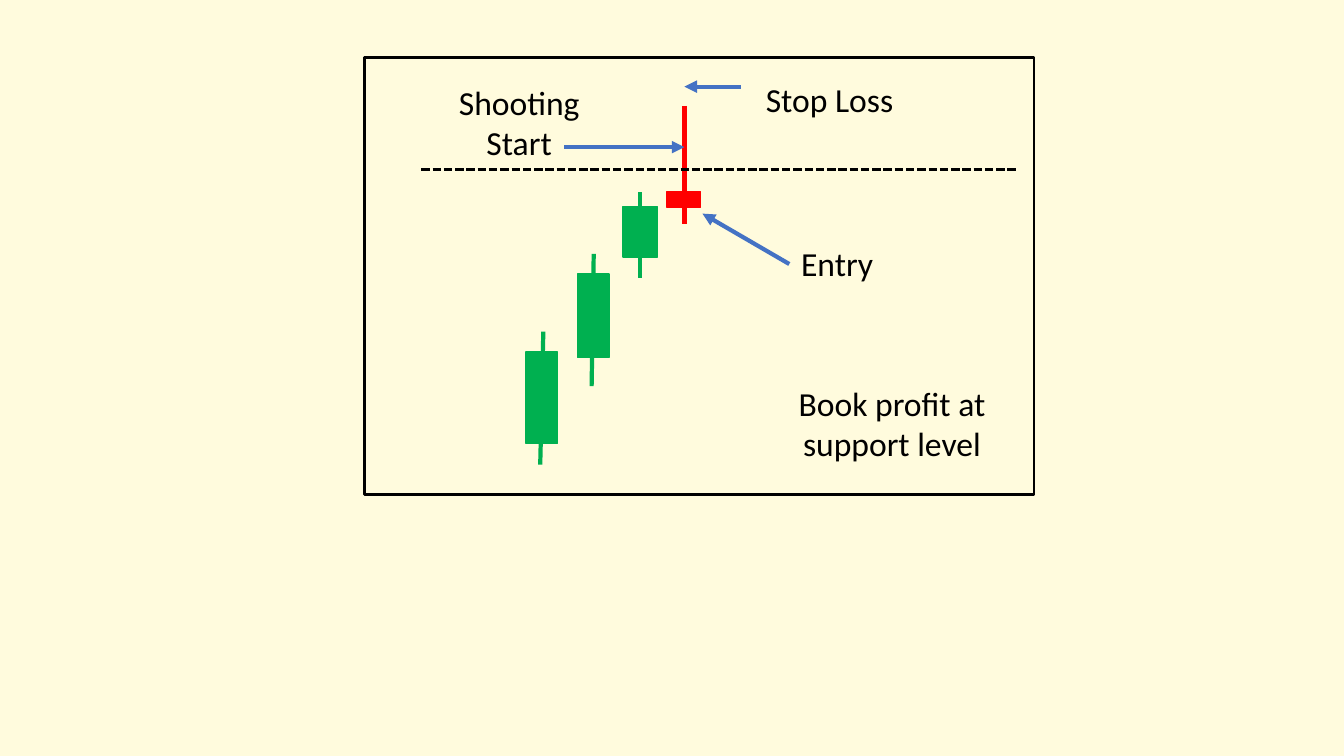
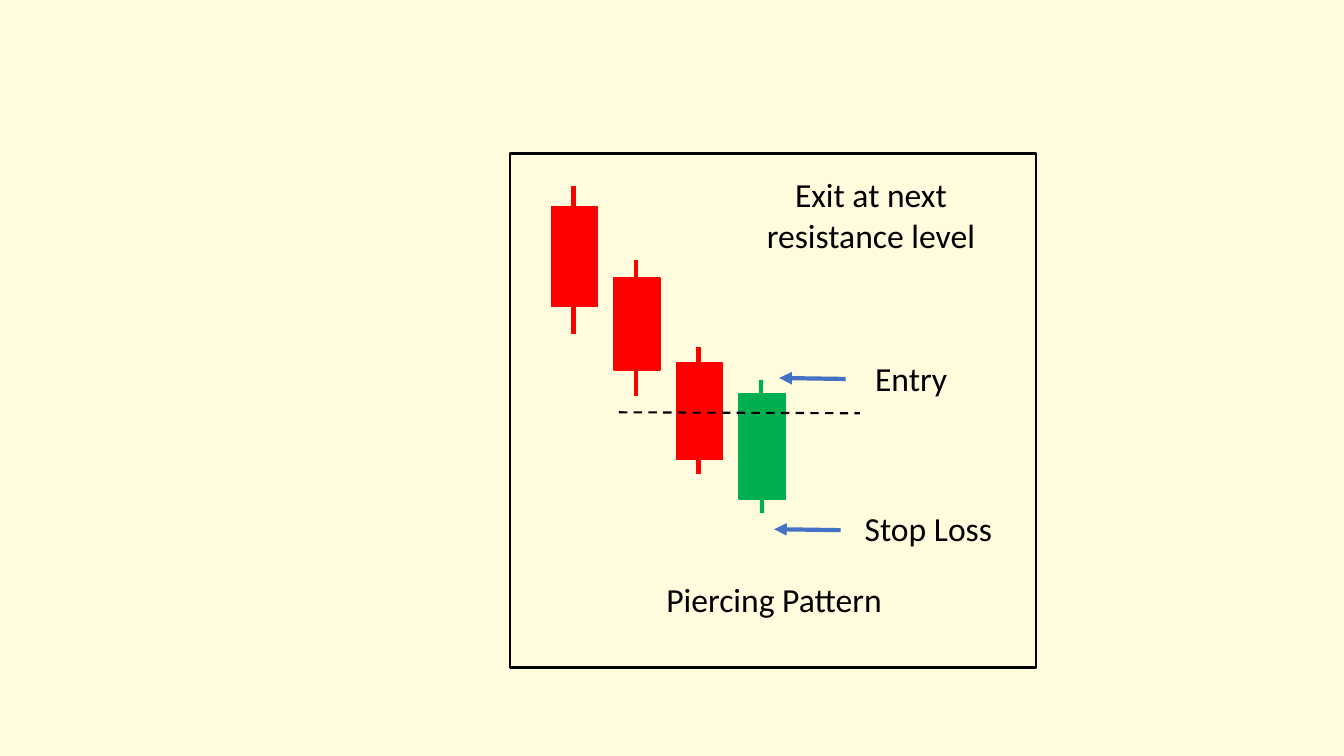
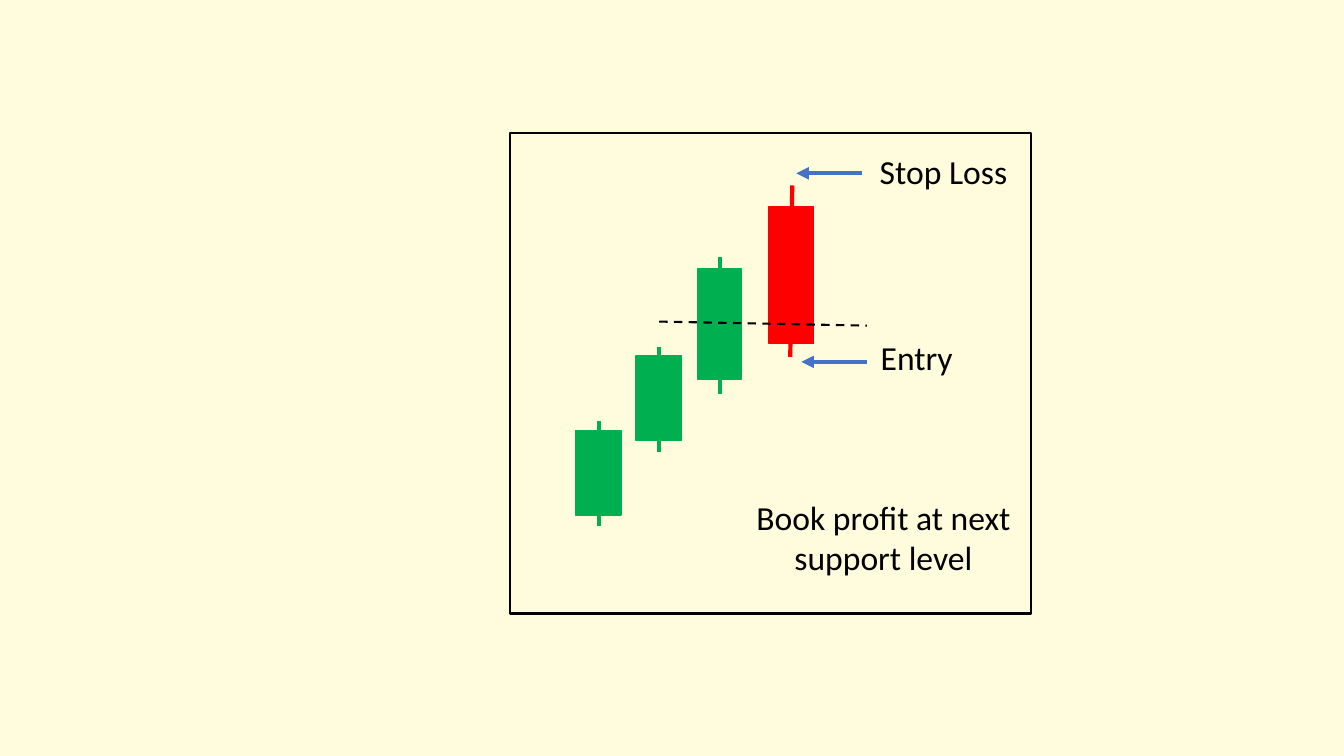
from lxml import etree
from pptx import Presentation
from pptx.dml.color import RGBColor
from pptx.enum.dml import MSO_LINE
from pptx.enum.shapes import MSO_CONNECTOR, MSO_SHAPE
from pptx.enum.text import MSO_AUTO_SIZE, PP_ALIGN
from pptx.oxml.ns import qn
from pptx.util import Pt

STRAIGHT = MSO_CONNECTOR.STRAIGHT
RECTANGLE = MSO_SHAPE.RECTANGLE
FIT_SHAPE = MSO_AUTO_SIZE.SHAPE_TO_FIT_TEXT
CENTER = PP_ALIGN.CENTER
DASH = MSO_LINE.DASH
SQUARE_DASH = MSO_LINE.SQUARE_DOT

CREAM = RGBColor(0xFF, 0xFB, 0xDD)
BLACK = RGBColor(0x00, 0x00, 0x00)
RED = RGBColor(0xFF, 0x00, 0x00)
GREEN = RGBColor(0x00, 0xB0, 0x50)
BLUE = RGBColor(0x44, 0x72, 0xC4)

FONT = "Calibri"
ONE_LINE, TWO_LINES = 36, 65.5

# candles: colour, body (left, top, width, height), wick (x1, y1, x2, y2)
SLIDES = [
    {
        "frame": (260.6, 41, 478, 312.5),
        "candles": [
            (GREEN, (375.8, 251.3, 22.3, 65.5), (388.1, 236.9, 385.9, 331.9)),
            (GREEN, (412.6, 195.8, 22.3, 59.8), (424.1, 181.4, 422.6, 275.8)),
            (GREEN, (445, 147.6, 24.5, 36), (457.2, 137.5, 457.2, 198.7)),
            (RED, (476.6, 136.8, 23.8, 11.5), (488.9, 75.6, 488.9, 159.8)),
        ],
        "level": ((301, 121, 725.8, 121), 2, SQUARE_DASH),
        "arrows": [
            (529.2, 61.9, 488.9, 61.9),
            (403.2, 105.1, 488.9, 105.1),
            (563.8, 188.6, 501.8, 152.6),
        ],
        "labels": [
            ("Shooting Start", 301, 54.7, 139.7, TWO_LINES),
            ("Stop Loss", 511.9, 52.6, 161.3, ONE_LINE),
            ("Entry", 540, 169.9, 115.9, ONE_LINE),
            ("Book profit at support level", 548.6, 270, 177.1, TWO_LINES),
        ],
    },
    {
        "frame": (364.3, 109.4, 375.8, 367.2),
        "candles": [
            (RED, (393.8, 147.6, 33.1, 71.3), (409.7, 133.2, 409.7, 238.3)),
            (RED, (438.5, 198.7, 33.1, 65.5), (454.3, 185.8, 454.3, 283)),
            (RED, (483.1, 259.2, 33.1, 69.1), (499, 247.7, 499, 338.4)),
            (GREEN, (527.8, 281.5, 33.1, 74.9), (543.6, 271.4, 544.3, 366.5)),
        ],
        "level": ((442.1, 294.5, 614.2, 295.2), 1.5, DASH),
        "arrows": [
            (604.1, 270.7, 556.6, 270),
            (600.5, 378.7, 553, 378),
        ],
        "labels": [
            ("Exit at next resistance level", 517, 121, 210.2, TWO_LINES),
            ("Entry", 588.2, 252, 125.3, ONE_LINE),
            ("Stop Loss", 600.5, 359.3, 125.3, ONE_LINE),
            ("Piercing Pattern", 447.8, 409.7, 210.2, ONE_LINE),
        ],
    },
    {
        "frame": (364.3, 95, 372.2, 343.4),
        "candles": [
            (GREEN, (411.1, 307.4, 32.4, 60.5), (427.7, 301, 427.7, 375.8)),
            (GREEN, (454.3, 254.2, 32.4, 60.5), (470.9, 247.7, 470.9, 322.6)),
            (GREEN, (498.2, 192.2, 31.7, 78.5), (514.1, 183.6, 514.1, 281.5)),
            (RED, (549.4, 147.6, 31.7, 97.9), (565.9, 132.5, 564.5, 254.9)),
        ],
        "level": ((470.9, 229.7, 619.2, 232.6), 1.5, DASH),
        "arrows": [
            (615.6, 123.8, 568.8, 123.8),
            (619.2, 258.5, 572.4, 258.5),
        ],
        "labels": [
            ("Stop Loss", 611.3, 104.4, 125.3, ONE_LINE),
            ("Entry", 576.7, 236.9, 156.2, ONE_LINE),
            ("Book profit at next support level", 516.2, 351.4, 229.7, TWO_LINES),
        ],
    },
]


def add_rect(shapes, box, line_color, line_width, fill=None):
    sp = shapes.add_shape(RECTANGLE, *map(Pt, box))
    sp.shadow.inherit = False
    if fill is None:
        sp.fill.background()
    else:
        sp.fill.solid()
        sp.fill.fore_color.rgb = fill
    sp.line.color.rgb = line_color
    sp.line.width = Pt(line_width)


def add_line(shapes, points, color, width, dash=None, arrow=False):
    cx = shapes.add_connector(STRAIGHT, *map(Pt, points))
    cx.line.color.rgb = color
    cx.line.width = Pt(width)
    if dash is not None:
        cx.line.dash_style = dash
    if arrow:
        etree.SubElement(cx.line._get_or_add_ln(), qn("a:tailEnd"), type="triangle")
    etree.SubElement(cx._element.spPr, qn("a:effectLst"))


def add_candle(shapes, color, body, wick):
    group = shapes.add_group_shape()
    add_rect(group.shapes, body, color, 1, color)
    add_line(group.shapes, wick, color, 3)


def add_label(shapes, text, *box):
    tf = shapes.add_textbox(*map(Pt, box)).text_frame
    tf.word_wrap = True
    tf.auto_size = FIT_SHAPE
    p = tf.paragraphs[0]
    p.text = text
    p.alignment = CENTER
    p.font.name = FONT
    p.font.size = Pt(24)
    p.font.color.rgb = BLACK


def main():
    prs = Presentation()
    prs.slide_width, prs.slide_height = Pt(960), Pt(540)
    background = prs.slide_master.background.fill
    background.solid()
    background.fore_color.rgb = CREAM

    for content in SLIDES:
        shapes = prs.slides.add_slide(prs.slide_layouts[6]).shapes
        add_rect(shapes, content["frame"], BLACK, 2)
        for candle in content["candles"]:
            add_candle(shapes, *candle)
        points, width, dash = content["level"]
        add_line(shapes, points, BLACK, width, dash)
        for arrow in content["arrows"]:
            add_line(shapes, arrow, BLUE, 3, arrow=True)
        for label in content["labels"]:
            add_label(shapes, *label)

    prs.save("out.pptx")


if __name__ == "__main__":
    main()
